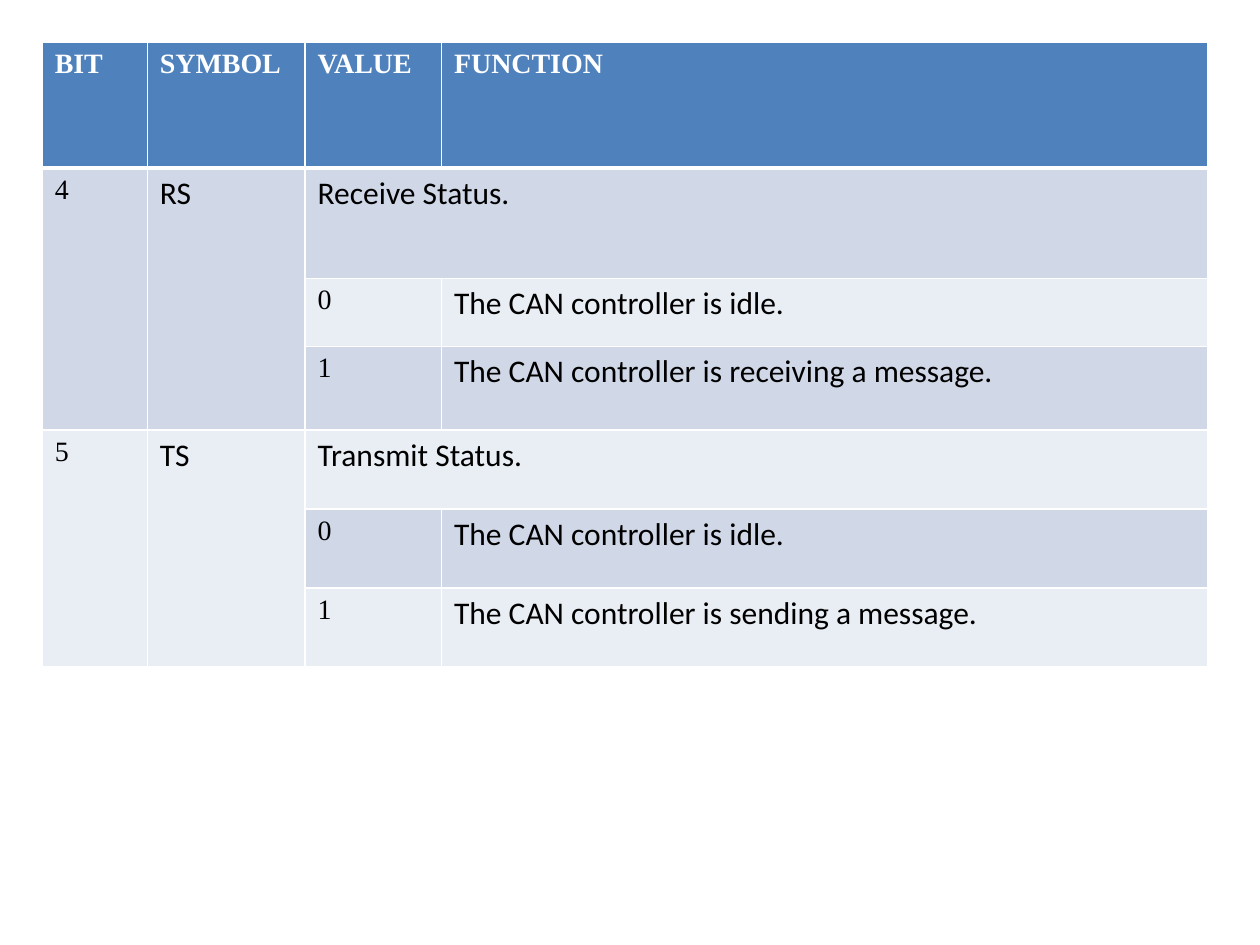
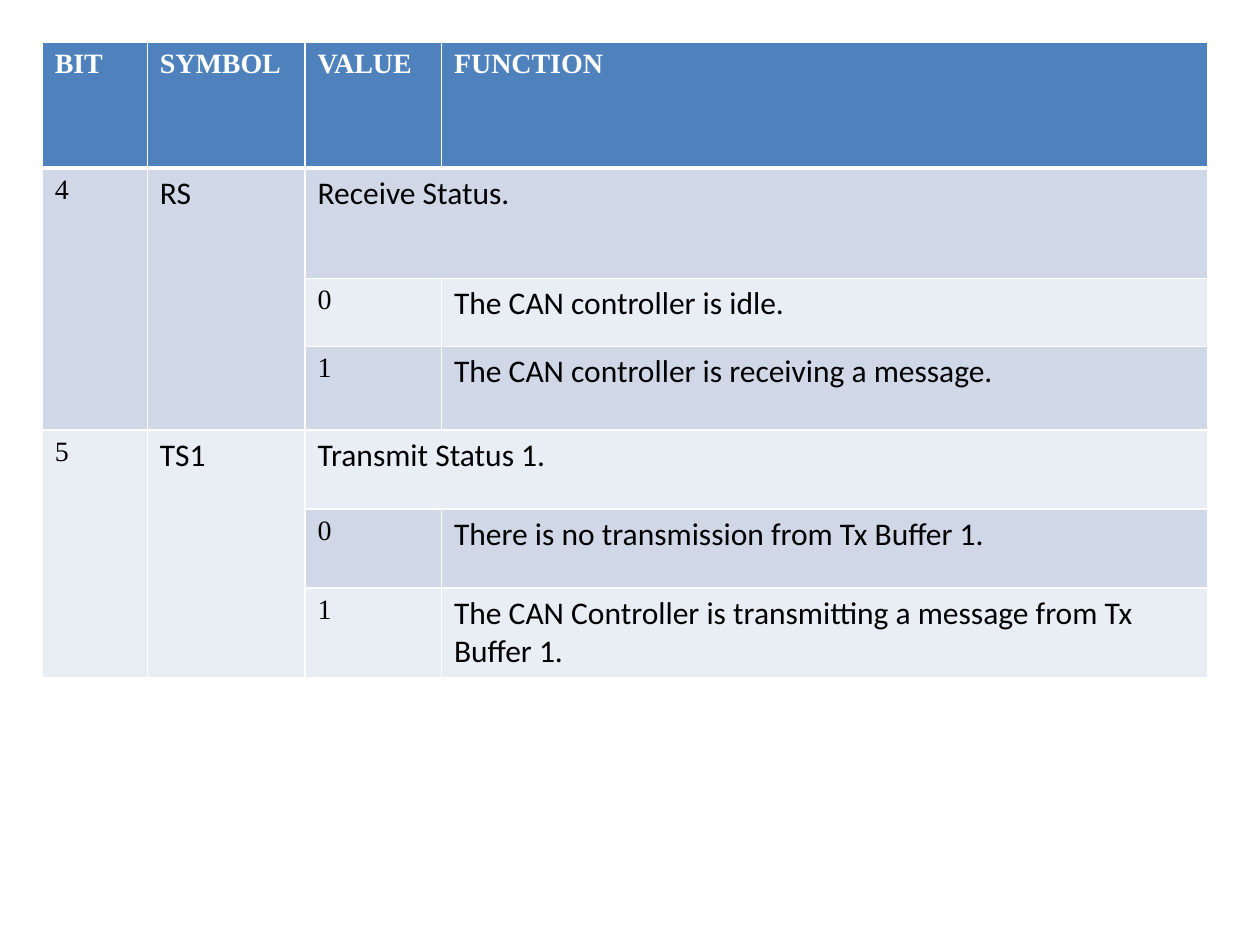
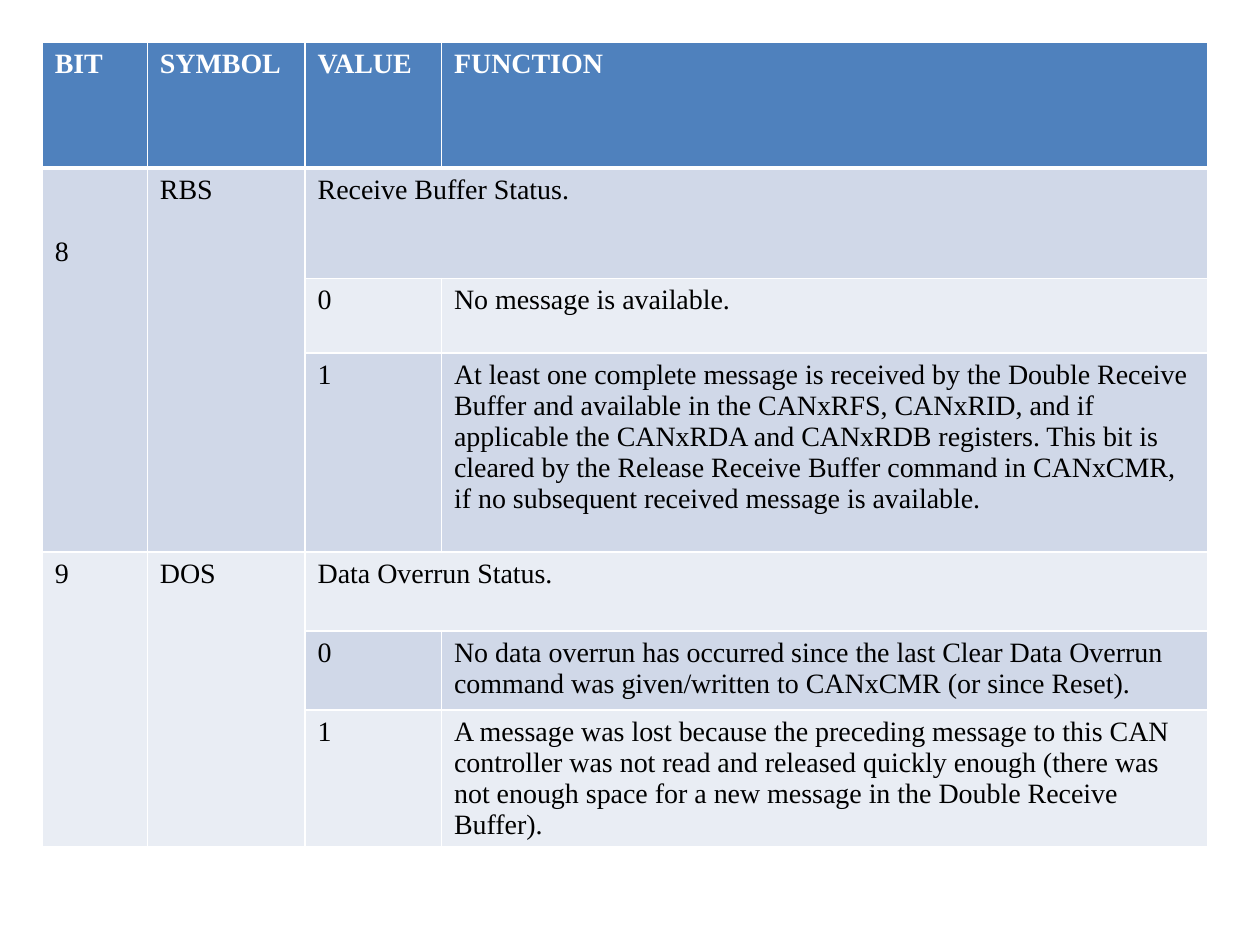
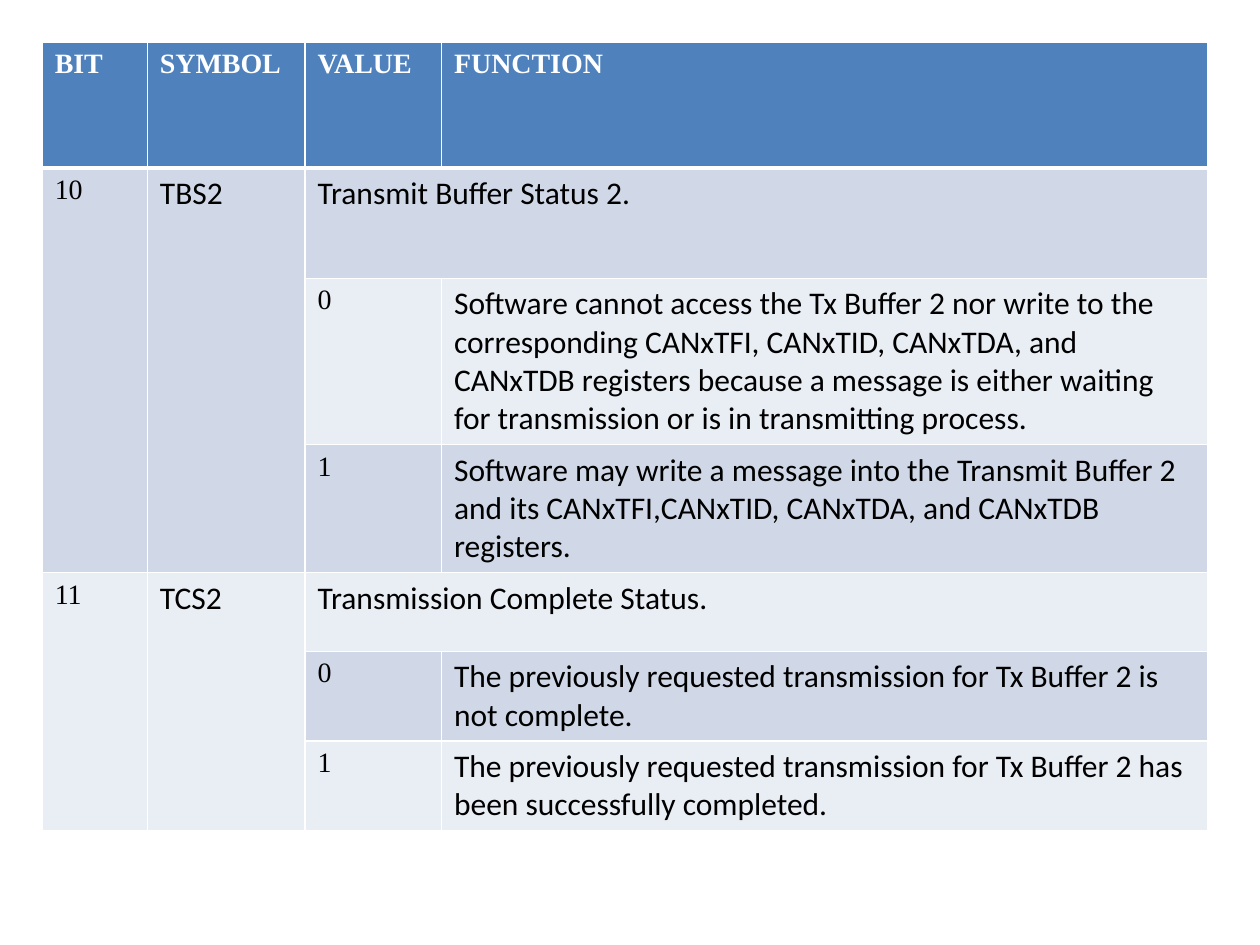
from lxml import etree
from pptx import Presentation
from pptx.dml.color import RGBColor as RGB
from pptx.oxml.ns import qn
from pptx.util import Cm, Pt

COLORS = {"header": "4F81BD", "dark": "D0D8E8", "light": "E9EDF4",
          "line": "FFFFFF", "head_text": "FFFFFF", "text": "000000"}
SERIF = ("Times New Roman", 16)
SANS = ("Calibri", 18)
HEADINGS = ["BIT", "SYMBOL", "VALUE", "FUNCTION"]
COL_WIDTHS = [2.12, 3.18, 2.75, 15.45]
ROW_HEIGHTS = [2.54, 2.22, 1.37, 1.69, 1.59, 1.59, 1.59]
MARGIN = 0.85
ROWS_PER_BIT = 3


class Deck:
    def __init__(self):
        self.prs = Presentation()
        self.prs.slide_width, self.prs.slide_height = Cm(25.4), Cm(19.05)
        self.s = None

    def slide(self):
        self.s = self.prs.slides.add_slide(self.prs.slide_layouts[6])

    def borders(self, cell, top=1, bottom=1):
        tc_pr = cell._tc.get_or_add_tcPr()
        for side, width in (("L", 1), ("R", 1), ("T", top), ("B", bottom)):
            ln = etree.SubElement(tc_pr, qn(f"a:ln{side}"), w=str(Pt(width)))
            fill = etree.SubElement(ln, qn("a:solidFill"))
            etree.SubElement(fill, qn("a:srgbClr"), val=COLORS["line"])

    def label(self, cell, text, font, color="text", bold=False):
        p = cell.text_frame.paragraphs[0]
        p.text = text
        f = p.runs[0].font
        f.name, f.size = font[0], Pt(font[1])
        f.bold = bold
        f.color.rgb = RGB.from_string(COLORS[color])

    def grid(self, heights):
        """Add the filled and ruled table, still without text."""
        frame = self.s.shapes.add_table(
            len(heights), len(COL_WIDTHS), Cm(MARGIN), Cm(MARGIN),
            Cm(sum(COL_WIDTHS)), Cm(sum(heights)))
        table = frame.table
        for col, width in zip(table.columns, COL_WIDTHS):
            col.width = Cm(width)
        for i, (row, height) in enumerate(zip(table.rows, heights)):
            row.height = Cm(height)
            band = "header" if i == 0 else "dark" if i % 2 else "light"
            for j, cell in enumerate(row.cells):
                self.borders(cell, 3 if i == 1 else 1, 3 if i == 0 else 1)
                # The merged bit and symbol cells keep the band of their first row
                first = i - (i - 1) % ROWS_PER_BIT
                merged = "dark" if first % 2 else "light"
                cell.fill.solid()
                cell.fill.fore_color.rgb = RGB.from_string(
                    COLORS[merged if i and j < 2 else band])
        return table

    def bit_table(self, bits, font=SANS, heights=ROW_HEIGHTS):
        """Each bit is (number, symbol, name, meaning of 0, meaning of 1)."""
        table = self.grid(heights)
        for j, heading in enumerate(HEADINGS):
            self.label(table.cell(0, j), heading, SERIF, "head_text", True)
        for n, (number, symbol, name, *meanings) in enumerate(bits):
            top = 1 + n * ROWS_PER_BIT
            for j in (0, 1):
                table.cell(top, j).merge(table.cell(top + ROWS_PER_BIT - 1, j))
            table.cell(top, 2).merge(table.cell(top, 3))
            self.label(table.cell(top, 0), number, SERIF)
            self.label(table.cell(top, 1), symbol, font)
            self.label(table.cell(top, 2), name, font)
            for value, meaning in enumerate(meanings):
                row = top + 1 + value
                self.label(table.cell(row, 2), str(value), SERIF)
                self.label(table.cell(row, 3), meaning, font)
        return table


RECEIVE = ("4", "RS", "Receive Status.", "The CAN controller is idle.",
           "The CAN controller is receiving a message.")


def main():
    deck = Deck()

    deck.slide()
    deck.bit_table([
        RECEIVE,
        ("5", "TS", "Transmit Status.", "The CAN controller is idle.",
         "The CAN controller is sending a message."),
    ])

    deck.slide()
    deck.bit_table([
        RECEIVE,
        ("5", "TS1", "Transmit Status 1.",
         "There is no transmission from Tx Buffer 1.",
         "The CAN Controller is transmitting a message from Tx Buffer 1."),
    ])

    deck.slide()
    table = deck.bit_table([
        ("8", "RBS", "Receive Buffer Status.", "No message is available.",
         "At least one complete message is received by the Double Receive "
         "Buffer and available in the CANxRFS, CANxRID, and if applicable the "
         "CANxRDA and CANxRDB registers. This bit is cleared by the Release "
         "Receive Buffer command in CANxCMR, if no subsequent received "
         "message is available."),
        ("9", "DOS", "Data Overrun Status.",
         "No data overrun has occurred since the last Clear Data Overrun "
         "command was given/written to CANxCMR (or since Reset).",
         "A message was lost because the preceding message to this CAN "
         "controller was not read and released quickly enough (there was not "
         "enough space for a new message in the Double Receive Buffer)."),
    ], SERIF, ROW_HEIGHTS[:2] + [1.51, 4.01] + ROW_HEIGHTS[4:])
    table.cell(1, 0).margin_top = Cm(1.38)

    deck.slide()
    deck.bit_table([
        ("10", "TBS2", "Transmit Buffer Status 2.",
         "Software cannot access the Tx Buffer 2 nor write to the "
         "corresponding CANxTFI, CANxTID, CANxTDA, and CANxTDB registers "
         "because a message is either waiting for transmission or is in "
         "transmitting process.",
         "Software may write a message into the Transmit Buffer 2 and its "
         "CANxTFI,CANxTID, CANxTDA, and CANxTDB registers."),
        ("11", "TCS2", "Transmission Complete Status.",
         "The previously requested transmission for Tx Buffer 2 is not "
         "complete.",
         "The previously requested transmission for Tx Buffer 2 has been "
         "successfully completed."),
    ])

    deck.prs.save("out.pptx")


if __name__ == "__main__":
    main()
